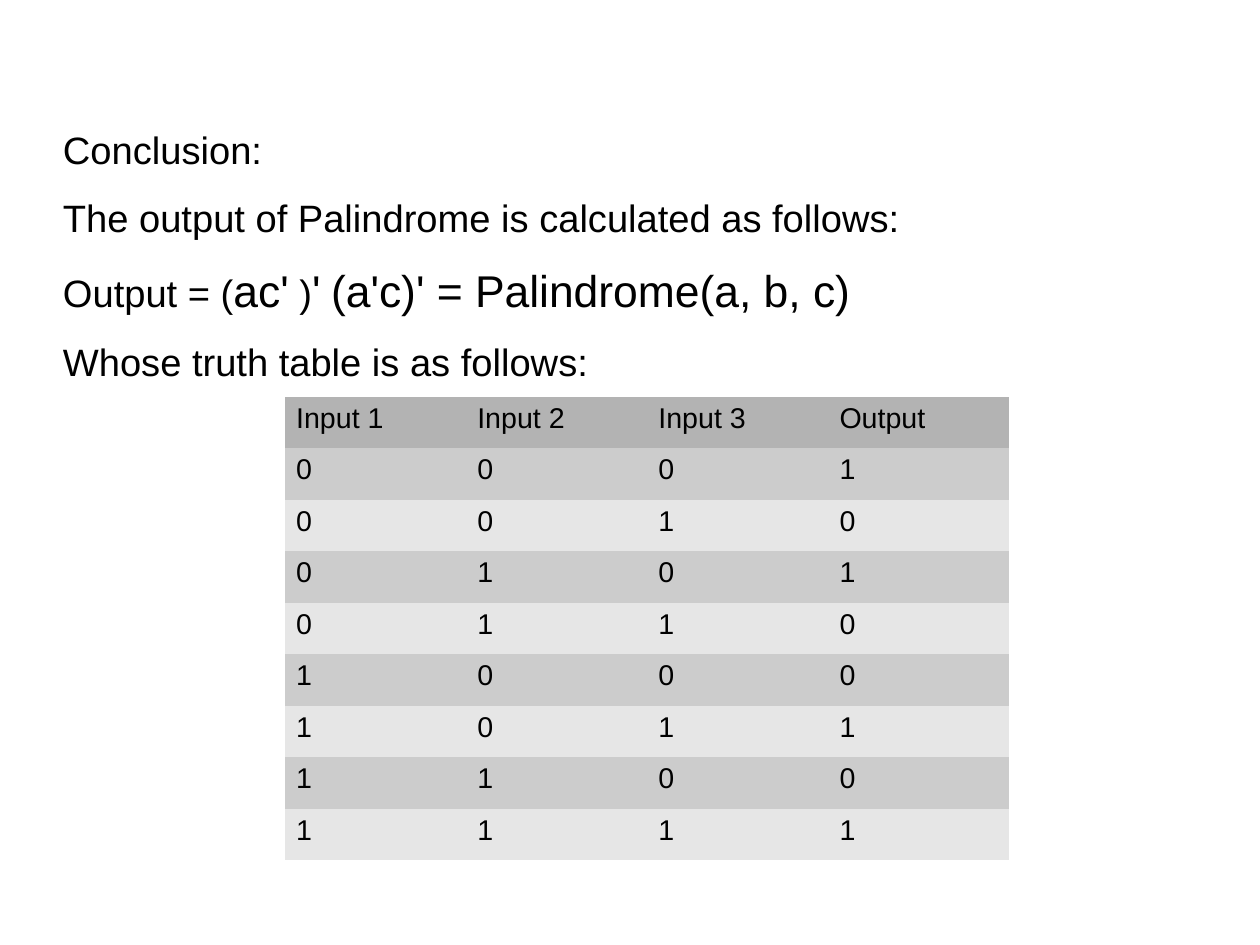
from dataclasses import dataclass
from itertools import product

from pptx import Presentation
from pptx.dml.color import RGBColor
from pptx.enum.text import MSO_ANCHOR
from pptx.util import Cm, Emu, Pt

TOP = MSO_ANCHOR.TOP
BLACK = RGBColor(0x00, 0x00, 0x00)
HEADER_GRAY = RGBColor(0xB3, 0xB3, 0xB3)
BAND_GRAYS = (RGBColor(0xCC, 0xCC, 0xCC), RGBColor(0xE6, 0xE6, 0xE6))

FONT = "Arial"
BODY, FORMULA, CELL = 24, 28, 18
SLIDE_WIDTH, SLIDE_HEIGHT = Cm(28), Cm(21)
PLAIN_TABLE_STYLE = "{2D5ABB26-0587-4C30-8999-92F81FD0307C}"


@dataclass(frozen=True)
class Area:
    """A rectangle in percent of the slide's width and height."""
    left: float
    top: float
    width: float
    height: float

    def lengths(self) -> tuple[Emu, Emu, Emu, Emu]:
        return (Emu(int(SLIDE_WIDTH * self.left / 100)),
                Emu(int(SLIDE_HEIGHT * self.top / 100)),
                Emu(int(SLIDE_WIDTH * self.width / 100)),
                Emu(int(SLIDE_HEIGHT * self.height / 100)))


@dataclass(frozen=True)
class Span:
    text: str
    size: int = BODY


CONCLUSION_AREA = Area(5, 13.37, 88, 57.95)
TABLE_AREA = Area(22.6, 41.97, 57.5, 49.1)

CONCLUSION = (
    (Span("Conclusion:"),),
    (Span("The output of Palindrome is calculated as follows:"),),
    (Span("Output = ("), Span("ac'", FORMULA), Span(" )"), Span("'", FORMULA),
     Span(" "), Span("(a'c)' = Palindrome(a, b, c)", FORMULA)),
    (Span("Whose truth table is as follows:"),),
)
HEADINGS = ("Input 1", "Input 2", "Input 3", "Output")


def style_font(font, size: int) -> None:
    font.name = FONT
    font.size = Pt(size)
    font.color.rgb = BLACK


def add_conclusion(page, area: Area, lines: tuple) -> None:
    frame = page.shapes.add_textbox(*area.lengths()).text_frame
    frame.word_wrap = True
    frame.vertical_anchor = TOP
    frame.margin_left = frame.margin_right = 0
    frame.margin_top = frame.margin_bottom = 0
    for index, line in enumerate(lines):
        para = frame.add_paragraph() if index else frame.paragraphs[0]
        para.space_after = Pt(14.2)
        for span in line:
            run = para.add_run()
            run.text = span.text
            style_font(run.font, span.size)


def truth_rows() -> list[tuple]:
    """A three-bit word is a palindrome when its outer bits agree."""
    return [(a, b, c, int(a == c)) for a, b, c in product((0, 1), repeat=3)]


def add_truth_table(page, area: Area) -> None:
    rows = [HEADINGS, *truth_rows()]
    frame = page.shapes.add_table(len(rows), len(HEADINGS), *area.lengths())
    table = frame.table
    table.first_row = table.horz_banding = False
    table._tbl.tblPr.find("{*}tableStyleId").text = PLAIN_TABLE_STYLE
    for row_index, values in enumerate(rows):
        shade = BAND_GRAYS[(row_index - 1) % 2] if row_index else HEADER_GRAY
        for column_index, value in enumerate(values):
            cell = table.cell(row_index, column_index)
            cell.fill.solid()
            cell.fill.fore_color.rgb = shade
            para = cell.text_frame.paragraphs[0]
            para.text = str(value)
            style_font(para.runs[0].font, CELL)


def main() -> None:
    deck = Presentation()
    deck.slide_width, deck.slide_height = SLIDE_WIDTH, SLIDE_HEIGHT
    page = deck.slides.add_slide(deck.slide_layouts[6])

    # Statement and formula
    add_conclusion(page, CONCLUSION_AREA, CONCLUSION)

    # Truth table
    add_truth_table(page, TABLE_AREA)

    deck.save("out.pptx")


if __name__ == "__main__":
    main()
